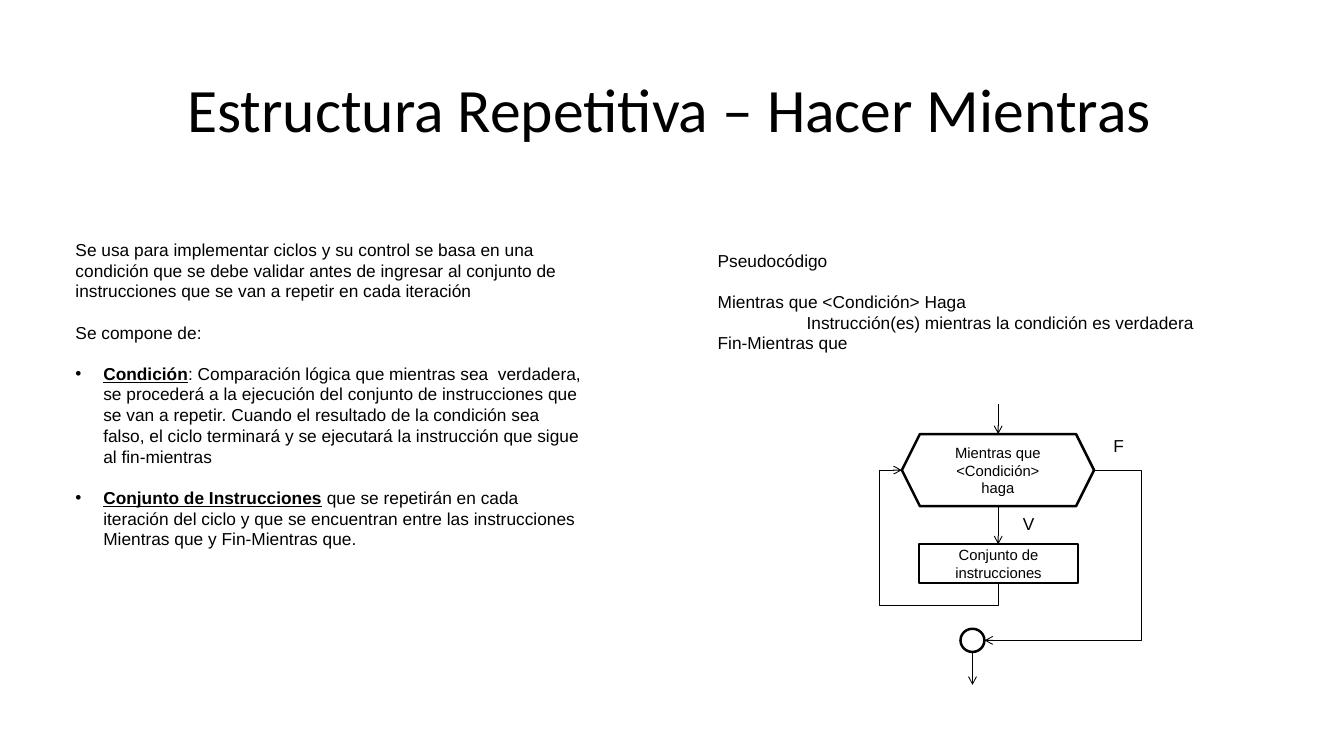
from lxml.etree import SubElement
from pptx import Presentation
from pptx.dml.color import RGBColor
from pptx.enum.shapes import MSO_CONNECTOR, MSO_SHAPE
from pptx.enum.text import MSO_ANCHOR, MSO_AUTO_SIZE, PP_ALIGN
from pptx.oxml.ns import qn
from pptx.util import Pt

COLORS = {"ink": "000000", "paper": "FFFFFF"}
BODY_SIZE = 14
BLOCK_GAP = 16.5
FLOW_X = 808
HEXAGON_LEFT, HEXAGON_RIGHT = 730, 885.6
HEXAGON_TOP, HEXAGON_MIDDLE, HEXAGON_BOTTOM = 351.4, 380.6, 409.8
PROCESS_TOP, PROCESS_BOTTOM = 440.6, 472
JOIN_X, JOIN_MIDDLE, JOIN_BOTTOM = 787.2, 518.4, 527.8


def color(name):
    return RGBColor.from_string(COLORS[name])


def add_run(paragraph, text, size=BODY_SIZE, font="Arial", strong=False):
    run = paragraph.add_run()
    run.text = text
    run.font.name = font
    run.font.size = Pt(size)
    run.font.bold = run.font.underline = strong
    run.font.color.rgb = color("ink")


def next_paragraph(frame):
    first = frame.paragraphs[0]
    return first if not first.runs else frame.add_paragraph()


def add_paragraph(frame, text, gap=0, indent=0):
    paragraph = next_paragraph(frame)
    paragraph.space_before = Pt(gap)
    if indent:
        paragraph._p.get_or_add_pPr().set("marL", str(Pt(indent)))
    add_run(paragraph, text)


def add_bullet(frame, term, text):
    paragraph = next_paragraph(frame)
    paragraph.space_before = Pt(BLOCK_GAP)
    properties = paragraph._p.get_or_add_pPr()
    properties.set("marL", str(Pt(22.5)))
    properties.set("indent", str(Pt(-22.5)))
    SubElement(properties, qn("a:buFont"), typeface="Arial")
    SubElement(properties, qn("a:buChar"), char="•")
    add_run(paragraph, term, strong=True)
    add_run(paragraph, text)


def add_text_box(slide, left, top, width, height, wrap=True):
    box = slide.shapes.add_textbox(Pt(left), Pt(top), Pt(width), Pt(height))
    frame = box.text_frame
    frame.word_wrap = wrap
    frame.auto_size = MSO_AUTO_SIZE.SHAPE_TO_FIT_TEXT
    return frame


def add_label(slide, text, left, top):
    frame = add_text_box(slide, left, top, 24, 28.8, wrap=False)
    add_paragraph(frame, text)


def add_node(slide, kind, left, top, width, height, lines=(), fill=None):
    shape = slide.shapes.add_shape(kind, Pt(left), Pt(top), Pt(width), Pt(height))
    shape.shadow.inherit = False
    if fill:
        shape.fill.solid()
        shape.fill.fore_color.rgb = color(fill)
    else:
        shape.fill.background()
    shape.line.color.rgb = color("ink")
    shape.line.width = Pt(2)
    frame = shape.text_frame
    frame.vertical_anchor = MSO_ANCHOR.MIDDLE
    for line in lines:
        paragraph = next_paragraph(frame)
        paragraph.alignment = PP_ALIGN.CENTER
        add_run(paragraph, line, size=12)


def add_arrow(slide, start, end, kind=MSO_CONNECTOR.STRAIGHT, arrow_end="tailEnd"):
    points = [Pt(value) for value in (*start, *end)]
    connector = slide.shapes.add_connector(kind, *points)
    connector.line.color.rgb = color("ink")
    connector.line.width = Pt(0.75)
    SubElement(connector.line._get_or_add_ln(), qn(f"a:{arrow_end}"), type="arrow")
    SubElement(connector._element.spPr, qn("a:effectLst"))
    return connector


def add_elbow(slide, start, end, preset, bends, arrow_end="tailEnd"):
    connector = add_arrow(slide, start, end, MSO_CONNECTOR.ELBOW, arrow_end)
    geometry = connector._element.spPr.find(qn("a:prstGeom"))
    geometry.set("prst", preset)
    guides = geometry.find(qn("a:avLst"))
    if guides is None:
        guides = SubElement(geometry, qn("a:avLst"))
    for number, bend in enumerate(bends, 1):
        SubElement(guides, qn("a:gd"), name=f"adj{number}", fmla=f"val {round(bend * 100000)}")


def add_title(slide, text):
    title = slide.shapes.title
    title.left, title.top, title.width, title.height = Pt(74.9), Pt(32.4), Pt(864.7), Pt(118)
    frame = title.text_frame
    frame.auto_size = MSO_AUTO_SIZE.NONE
    frame.word_wrap = True
    frame.vertical_anchor = MSO_ANCHOR.MIDDLE
    frame.margin_left = frame.margin_right = frame.margin_top = frame.margin_bottom = Pt(7.2)
    paragraph = frame.paragraphs[0]
    paragraph.alignment = PP_ALIGN.RIGHT
    paragraph.line_spacing = 0.9
    add_run(paragraph, text, size=49.9, font="Calibri")


def add_explanation(slide):
    frame = add_text_box(slide, 54, 190, 425.5, 278.6)
    add_paragraph(frame, "Se usa para implementar ciclos y su control se basa en una condición que se debe "
                  "validar antes de ingresar al conjunto de instrucciones que se van a repetir en cada iteración")
    add_paragraph(frame, "Se compone de:", gap=BLOCK_GAP)
    add_bullet(frame, "Condición",
               ": Comparación lógica que mientras sea  verdadera, se procederá a la ejecución del conjunto "
               "de instrucciones que se van a repetir. Cuando el resultado de la condición sea falso, "
               "el ciclo terminará y se ejecutará la instrucción que sigue al fin-mientras")
    add_bullet(frame, "Conjunto de Instrucciones",
               " que se repetirán en cada iteración del ciclo y que se encuentran entre las "
               "instrucciones Mientras que y Fin-Mientras que.")


def add_pseudocode(slide):
    frame = add_text_box(slide, 573.8, 198.7, 425.5, 159.8)
    add_paragraph(frame, "Pseudocódigo")
    add_paragraph(frame, "Mientras que <Condición> Haga", gap=BLOCK_GAP)
    add_paragraph(frame, "Instrucción(es) mientras la condición es verdadera", indent=72)
    add_paragraph(frame, "Fin-Mientras que")


def add_flowchart(slide):
    add_node(slide, MSO_SHAPE.HEXAGON, HEXAGON_LEFT, HEXAGON_TOP, HEXAGON_RIGHT - HEXAGON_LEFT,
             HEXAGON_BOTTOM - HEXAGON_TOP, ["Mientras que <Condición>", "haga"])
    add_node(slide, MSO_SHAPE.RECTANGLE, 743.8, PROCESS_TOP, 129, PROCESS_BOTTOM - PROCESS_TOP,
             ["Conjunto de instrucciones"])
    add_node(slide, MSO_SHAPE.OVAL, 777.5, 509, 19.4, 18.8, fill="paper")
    for x, top, bottom in ((FLOW_X, 326.9, HEXAGON_TOP), (FLOW_X, HEXAGON_BOTTOM, PROCESS_TOP),
                           (JOIN_X, JOIN_BOTTOM, 554.4)):
        add_arrow(slide, (x, top), (x, bottom))
    add_elbow(slide, (HEXAGON_LEFT, HEXAGON_MIDDLE), (FLOW_X, PROCESS_BOTTOM),
              "bentConnector4", (-0.23, 1.2), arrow_end="headEnd")
    add_elbow(slide, (HEXAGON_RIGHT, HEXAGON_MIDDLE), (797, JOIN_MIDDLE), "bentConnector3", (-0.43,))
    add_label(slide, "V", 820.8, 411.8)
    add_label(slide, "F", 894.2, 348.5)


def main():
    presentation = Presentation()
    presentation.slide_width, presentation.slide_height = Pt(1087.92), Pt(612)
    slide = presentation.slides.add_slide(presentation.slide_layouts[5])
    add_title(slide, "Estructura Repetitiva – Hacer Mientras")
    add_explanation(slide)
    add_pseudocode(slide)
    add_flowchart(slide)
    presentation.save("out.pptx")


if __name__ == "__main__":
    main()
